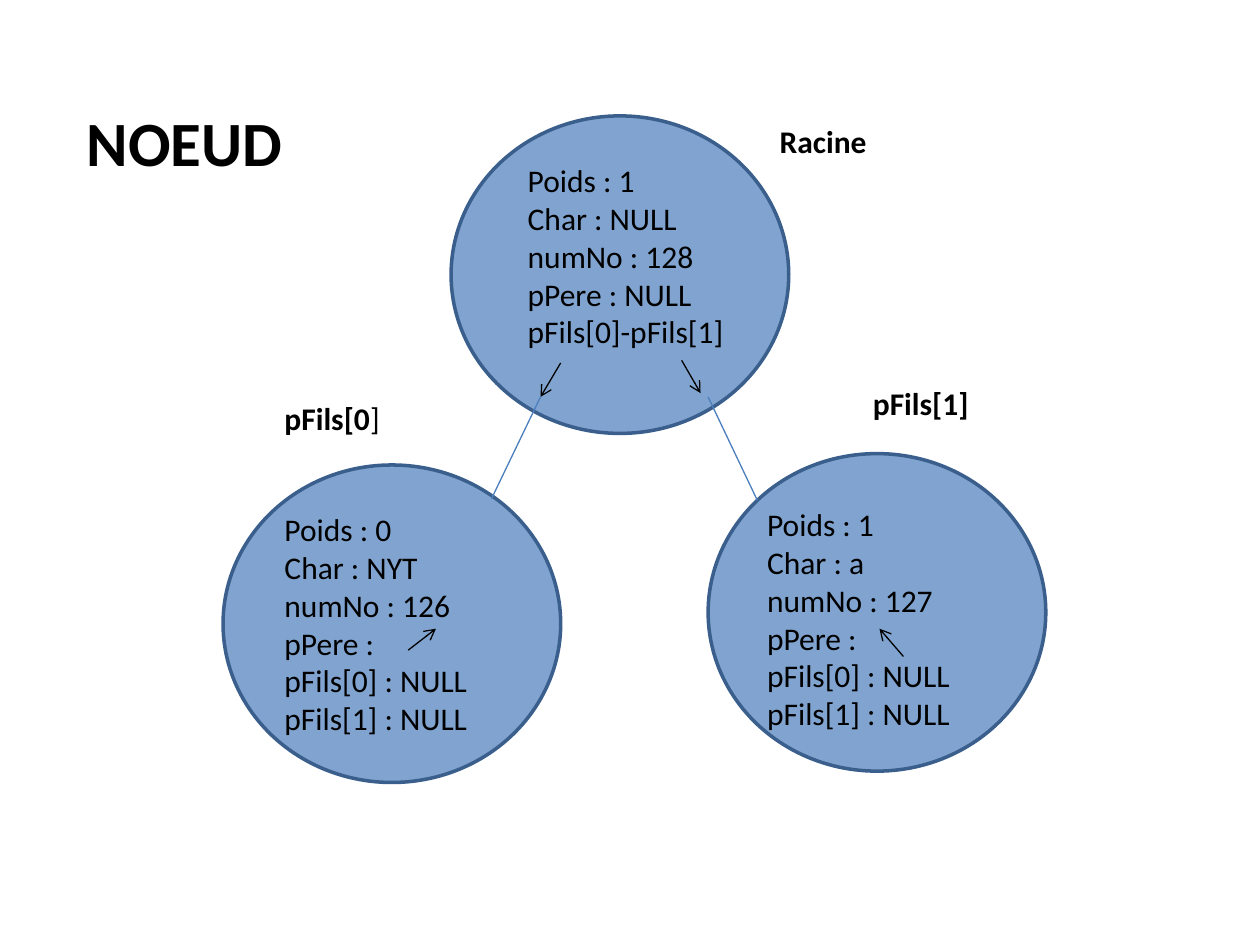
from lxml.etree import SubElement
from pptx import Presentation
from pptx.dml.color import RGBColor
from pptx.enum.shapes import MSO_CONNECTOR, MSO_SHAPE
from pptx.enum.text import MSO_AUTO_SIZE
from pptx.oxml.ns import qn
from pptx.util import Inches, Pt

THEME = {
    "font": "Calibri",
    "body": Pt(18),
    "title": Pt(36),
    "ink": RGBColor(0x00, 0x00, 0x00),
    "node": RGBColor(0x4F, 0x81, 0xBD),
    "outline": RGBColor(0x3A, 0x5F, 0x8C),
    "branch": RGBColor(0x4B, 0x7E, 0xBC),
    "opacity": "72000",
    "outline_width": Pt(2),
    "line_width": Pt(0.75),
}

presentation = Presentation()
presentation.slide_width = Inches(10)
presentation.slide_height = Inches(7.5)
slide = presentation.slides.add_slide(presentation.slide_layouts[6])


def add_text(box, paragraphs, size=THEME["body"], wrap=True):
    shape = slide.shapes.add_textbox(*map(Inches, box))
    frame = shape.text_frame
    frame.word_wrap = wrap
    frame.auto_size = MSO_AUTO_SIZE.SHAPE_TO_FIT_TEXT
    for index, runs in enumerate(paragraphs):
        paragraph = frame.add_paragraph() if index else frame.paragraphs[0]
        for text, bold in runs:
            run = paragraph.add_run()
            run.text = text
            run.font.color.rgb = THEME["ink"]
            font_format = {"name": THEME["font"], "size": size, "bold": bold}
            for name, value in font_format.items():
                setattr(run.font, name, value)


def add_line(start, end, color, arrow):
    connector = slide.shapes.add_connector(
        MSO_CONNECTOR.STRAIGHT, *map(Inches, start + end)
    )
    connector.line.color.rgb = color
    connector.line.width = THEME["line_width"]
    if arrow:
        SubElement(connector.line._get_or_add_ln(), qn("a:tailEnd"), type="arrow")
    SubElement(connector._element.spPr, qn("a:effectLst"))


for left, top in [(5.62, 3.6), (1.77, 3.69), (3.58, 0.92)]:
    node = slide.shapes.add_shape(
        MSO_SHAPE.OVAL, Inches(left), Inches(top), Inches(2.68), Inches(2.52)
    )
    node.shadow.inherit = False
    node.fill.solid()
    node.fill.fore_color.rgb = THEME["node"]
    color = node._element.spPr.find(qn("a:solidFill"))[0]
    SubElement(color, qn("a:alpha"), val=THEME["opacity"])
    node.line.color.rgb = THEME["outline"]
    node.line.width = THEME["outline_width"]

child_fields = ["pFils[0] : NULL", "pFils[1] : NULL"]
node_fields = [
    ((4.09, 1.23, 2.17, 1.92),
     ["Poids : 1", "Char : NULL", "numNo : 128", "pPere : NULL", "pFils[0]-pFils[1]"]),
    ((2.16, 4, 2.17, 2.22),
     ["Poids : 0", "Char : NYT", "numNo : 126", "pPere :"] + child_fields),
    ((5.99, 3.96, 2.17, 2.22),
     ["Poids : 1", "Char : a", "numNo : 127", "pPere :"] + child_fields),
]
for box, fields in node_fields:
    add_text(box, [[(field, False)] for field in fields])

pointers = [
    ((4.45, 2.88), (4.29, 3.15)),
    ((5.41, 2.86), (5.56, 3.12)),
    ((3.24, 5.16), (3.46, 4.99)),
    ((7.17, 5.21), (6.98, 4.99)),
]
for start, end in pointers:
    add_line(start, end, THEME["ink"], arrow=True)

branches = [((4.29, 3.15), (3.9, 3.96)), ((5.62, 3.15), (6.01, 3.97))]
for start, end in branches:
    add_line(start, end, THEME["branch"], arrow=False)

add_text((6.09, 0.92, 1.1, 0.4), [[("Racine", True)]])
add_text((2.16, 3.12, 0.96, 0.4), [[("pFils[0", True), ("]", False)]], wrap=False)
add_text((6.83, 3, 0.97, 0.4), [[("pFils[1]", True)]], wrap=False)
add_text((0.59, 0.77, 2.05, 0.71), [[("NOEUD", True)]], size=THEME["title"])

presentation.save("out.pptx")
